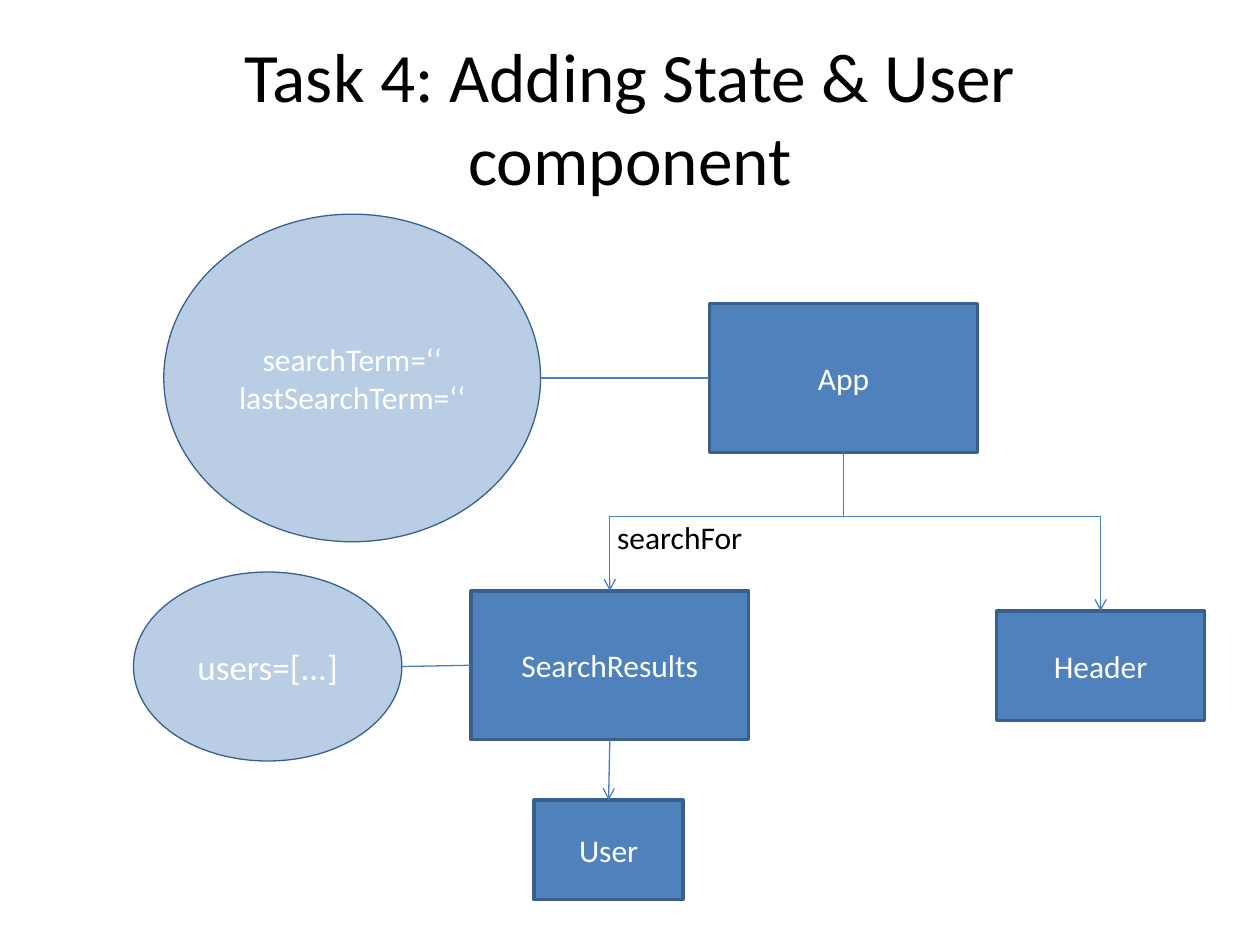
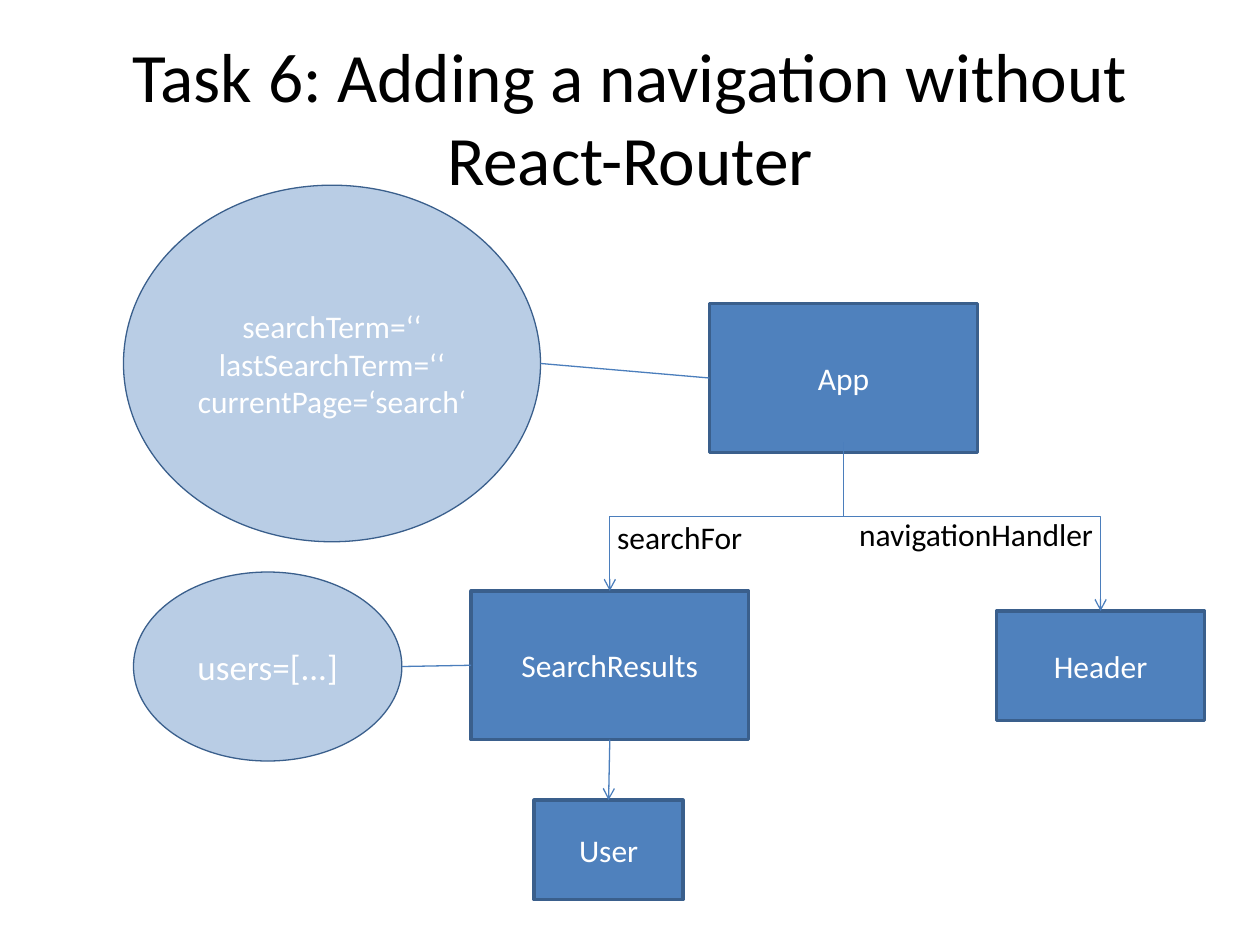
from dataclasses import dataclass

from lxml.etree import SubElement
from pptx import Presentation
from pptx.dml.color import RGBColor
from pptx.enum.shapes import MSO_CONNECTOR as CONN, MSO_SHAPE as SHAPE
from pptx.enum.text import MSO_ANCHOR as ANCHOR, MSO_AUTO_SIZE as FIT, PP_ALIGN as ALIGN
from pptx.oxml.ns import qn
from pptx.util import Inches, Pt

FONT = "Calibri"
BLACK, WHITE = "000000", "FFFFFF"
BOX_FILL, STATE_FILL = "4F81BD", "B9CDE5"
OUTLINE, LINK = "3A5F8C", "4B7EBC"


@dataclass(frozen=True)
class Node:
    """A component box or a state ellipse."""
    text: str
    x: float
    y: float
    w: float
    h: float
    state: bool = False
    size: float = 18

    @property
    def mid_x(self) -> float:
        return self.x + self.w / 2

    @property
    def mid_y(self) -> float:
        return self.y + self.h / 2

    @property
    def right(self) -> float:
        return self.x + self.w

    @property
    def bottom(self) -> float:
        return self.y + self.h


@dataclass(frozen=True)
class Label:
    text: str
    x: float
    y: float
    w: float
    h: float = 0.4


@dataclass(frozen=True)
class Task:
    title: str
    app_state: Node
    labels: tuple


# Component tree shared by both slides
APP = Node("App", 5.63, 2.41, 2.13, 1.18)
RESULTS = Node("SearchResults", 3.74, 4.69, 2.2, 1.18)
HEADER = Node("Header", 7.91, 4.85, 1.65, 0.87)
USER = Node("User", 4.24, 6.35, 1.18, 0.79)
USERS_STATE = Node("users=[...]", 1.06, 4.54, 2.13, 1.5, state=True, size=20)
BEND_Y = 4.1

# What differs between the slides; \v breaks a line, \n starts a paragraph
SEARCH_STATE = "searchTerm=‘‘\vlastSearchTerm=‘‘"
SEARCH_FOR = Label("searchFor", 4.8, 4.06, 1.2)
TASKS = (
    Task("Task 4: Adding State & User component",
         Node(SEARCH_STATE, 1.3, 1.7, 2.99, 2.6, state=True),
         (SEARCH_FOR,)),
    Task("Task 6: Adding a navigation without React-Router",
         Node(SEARCH_STATE + "\ncurrentPage=‘search‘", 0.98, 1.47, 3.31, 2.83, state=True),
         (SEARCH_FOR, Label("navigationHandler", 6.72, 4.04, 2.08))),
)


def rgb(color: str) -> RGBColor:
    return RGBColor.from_string(color)


def write(tf, text: str, *, size: float = 18, color: str = BLACK,
          align=ALIGN.LEFT, anchor=ANCHOR.TOP, wrap: bool = True, fit=FIT.NONE) -> None:
    tf.text = text
    tf.word_wrap, tf.auto_size, tf.vertical_anchor = wrap, fit, anchor
    for p in tf.paragraphs:
        p.alignment = align
        for r in p.runs:
            r.font.name, r.font.size = FONT, Pt(size)
            r.font.color.rgb = rgb(color)


def add_title(s, text: str) -> None:
    sp = s.shapes.title
    sp.left, sp.top, sp.width, sp.height = map(Inches, (0.5, 0.3, 9, 1.25))
    write(sp.text_frame, text, size=39.6, align=ALIGN.CENTER, anchor=ANCHOR.MIDDLE)


def add_node(s, node: Node) -> None:
    kind = SHAPE.OVAL if node.state else SHAPE.RECTANGLE
    sp = s.shapes.add_shape(kind, *map(Inches, (node.x, node.y, node.w, node.h)))
    sp.shadow.inherit = False
    sp.fill.solid()
    sp.fill.fore_color.rgb = rgb(STATE_FILL if node.state else BOX_FILL)
    sp.line.color.rgb = rgb(OUTLINE)
    sp.line.width = Pt(0.75 if node.state else 2)
    write(sp.text_frame, node.text, size=node.size, color=WHITE,
          align=ALIGN.CENTER, anchor=ANCHOR.MIDDLE)


def add_label(s, label: Label) -> None:
    sp = s.shapes.add_textbox(*map(Inches, (label.x, label.y, label.w, label.h)))
    write(sp.text_frame, label.text, wrap=False, fit=FIT.SHAPE_TO_FIT_TEXT)


def add_link(s, x1: float, y1: float, x2: float, y2: float, *,
             kind=CONN.STRAIGHT, arrow: bool = False):
    cxn = s.shapes.add_connector(kind, *map(Inches, (x1, y1, x2, y2)))
    cxn.line.color.rgb = rgb(LINK)
    cxn.line.width = Pt(0.75)
    if arrow:
        SubElement(cxn.line._get_or_add_ln(), qn("a:tailEnd"), type="arrow")
    SubElement(cxn._element.spPr, qn("a:effectLst"))
    return cxn


def add_branch(s, x1: float, y1: float, x2: float, y2: float) -> None:
    """Elbow arrow that goes down, across at BEND_Y, and down again."""
    mx, my = (x1 + x2) / 2, (y1 + y2) / 2
    dx, dy = abs(x2 - x1) / 2, (y2 - y1) / 2
    # The preset runs sideways, so its frame is laid flat and then turned
    cxn = add_link(s, mx - dy, my - dx, mx + dy, my + dx, kind=CONN.ELBOW, arrow=True)
    spPr = cxn._element.spPr
    xfrm = spPr.find(qn("a:xfrm"))
    if x2 < x1:
        xfrm.set("rot", str(90 * 60000))
    else:
        xfrm.set("rot", str(270 * 60000))
        xfrm.set("flipH", "1")
    bend = round((BEND_Y - y1) / (y2 - y1) * 100000)
    guides = spPr.find(qn("a:prstGeom")).find(qn("a:avLst"))
    SubElement(guides, qn("a:gd"), name="adj1", fmla=f"val {bend}")


def link_state(s, state: Node, owner: Node) -> None:
    add_link(s, state.right, state.mid_y, owner.x, owner.mid_y)


def add_task(prs, task: Task) -> None:
    s = prs.slides.add_slide(prs.slide_layouts[5])
    add_title(s, task.title)
    # Components and states
    for node in (APP, RESULTS, HEADER, USER, USERS_STATE, task.app_state):
        add_node(s, node)
    # Links
    add_branch(s, APP.mid_x, APP.bottom - 0.08, RESULTS.mid_x, RESULTS.y)
    add_branch(s, APP.mid_x, APP.bottom, HEADER.mid_x, HEADER.y)
    add_link(s, RESULTS.mid_x, RESULTS.bottom, USER.mid_x, USER.y, arrow=True)
    link_state(s, USERS_STATE, RESULTS)
    link_state(s, task.app_state, APP)
    # Callback names
    for label in task.labels:
        add_label(s, label)


prs = Presentation()
prs.slide_width, prs.slide_height = Inches(10), Inches(7.5)
for task in TASKS:
    add_task(prs, task)
prs.save("out.pptx")
